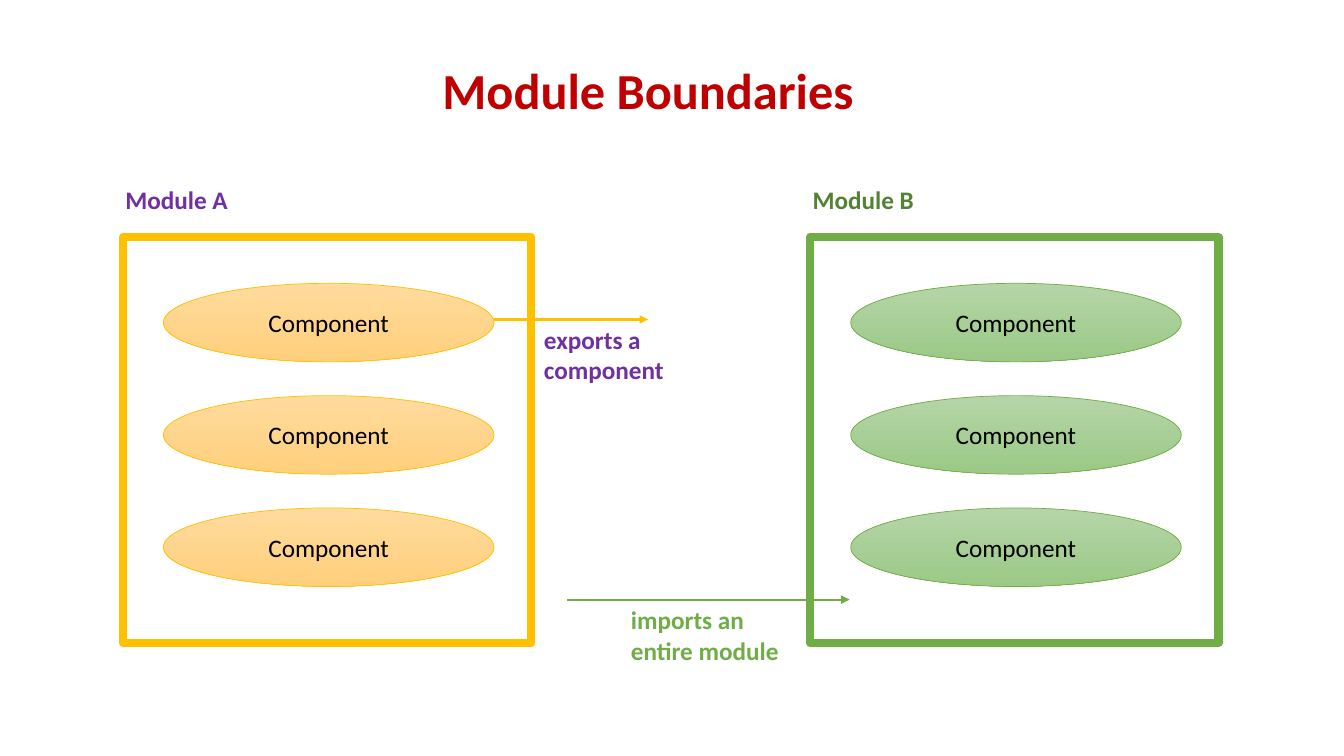
from lxml.etree import SubElement
from pptx import Presentation
from pptx.dml.color import RGBColor
from pptx.enum.shapes import MSO_CONNECTOR, MSO_SHAPE
from pptx.enum.text import MSO_ANCHOR, PP_ALIGN
from pptx.oxml.ns import qn
from pptx.util import Cm, Pt

HUES = {
    "title": "C00000", "white": "FFFFFF", "black": "000000",
    "gold": "FFC000", "green": "70AD47",
    "purple": "7030A0", "forest": "548235",
    "sand": "FFDB9E", "amber": "FFD07C",
    "mint": "B5D5A7", "leaf": "9CC987",
}
TITLE = ("Module Boundaries", (1.4, 1.55, 29.87, 1.6))
PARTS = ["Component", "Component", "Component"]
MODULES = [
    ("Module B", 20.42, "forest", "green", ("mint", "leaf")),
    ("Module A", 3.1, "purple", "gold", ("sand", "amber")),
]
FLOWS = [
    ("exports a component", (13.46, 8.05, 5.72, 1.8), "purple", "gold", 12.45, 16.33),
    ("imports an entire module", (15.65, 15.11, 4.78, 1.8), "green", "green", 14.3, 21.41),
]
TOP, WIDE, HIGH = 5.97, 10.29, 10.24
INSET, DROP, STEP = 1.02, 1.17, 2.83
OVAL = (8.33, 1.98)


def tint(name):
    return RGBColor.from_string(HUES[name])


def write(text, shape=None, box=None, size=18, hue="black", bold=False,
          align=PP_ALIGN.LEFT, anchor=MSO_ANCHOR.TOP, lead=1.0):
    if shape is None:
        shape = slide.shapes.add_textbox(*map(Cm, box))
    frame = shape.text_frame
    frame.word_wrap = True
    frame.vertical_anchor = anchor
    para = frame.paragraphs[0]
    para.text = text
    para.alignment = align
    para.line_spacing = lead
    font = para.runs[0].font
    font.name, font.size, font.bold = "Calibri", Pt(size), bold
    font.color.rgb = tint(hue)


def draw(kind, box, edge, width, fill):
    shape = slide.shapes.add_shape(kind, *map(Cm, box))
    shape.shadow.inherit = False
    shape.line.color.rgb = tint(edge)
    shape.line.width = Pt(width)
    if len(fill) == 1:
        shape.fill.solid()
        shape.fill.fore_color.rgb = tint(fill[0])
    else:
        shape.fill.gradient()
        shape.fill.gradient_angle = 270
        for stop, name in zip(shape.fill.gradient_stops, fill):
            stop.color.rgb = tint(name)
    return shape


def arrow(start, end, y, hue):
    link = slide.shapes.add_connector(
        MSO_CONNECTOR.STRAIGHT, Cm(start), Cm(y), Cm(end), Cm(y))
    link.line.color.rgb = tint(hue)
    link.line.width = Pt(1.5)
    props = link._element.spPr
    SubElement(props.find(qn("a:ln")), qn("a:tailEnd"), type="triangle")
    SubElement(props, qn("a:effectLst"))


deck = Presentation()
deck.slide_width, deck.slide_height = Cm(33.87), Cm(19.05)
slide = deck.slides.add_slide(deck.slide_layouts[6])

write(TITLE[0], box=TITLE[1], size=36, hue="title", bold=True,
      align=PP_ALIGN.CENTER, anchor=MSO_ANCHOR.MIDDLE, lead=0.9)

for name, left, hue, edge, fade in MODULES:
    draw(MSO_SHAPE.RECTANGLE, (left, TOP, WIDE, HIGH), edge, 6, ["white"])
    write(name, box=(left - 0.19, 4.52, 6, 1.02), hue=hue, bold=True)
    for row, part in enumerate(PARTS):
        spot = (left + INSET, TOP + DROP + row * STEP, *OVAL)
        oval = draw(MSO_SHAPE.OVAL, spot, edge, 0.5, fade)
        write(part, shape=oval, align=PP_ALIGN.CENTER, anchor=MSO_ANCHOR.MIDDLE)

for text, box, hue, edge, start, end in FLOWS:
    arrow(start, end, box[1], edge)
    write(text, box=box, hue=hue, bold=True)

deck.save("out.pptx")
